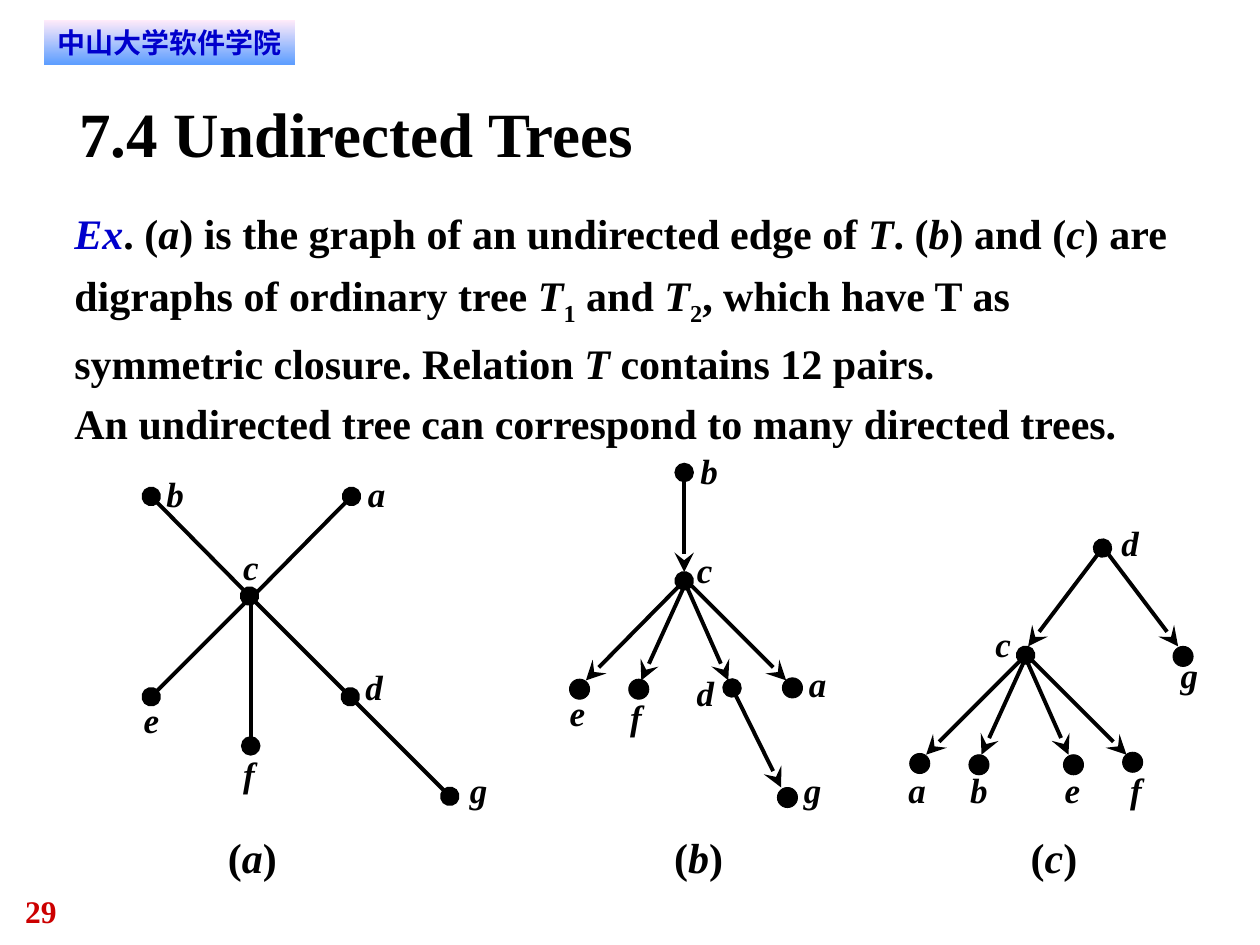
from lxml import etree
from pptx import Presentation
from pptx.dml.color import RGBColor
from pptx.enum import shapes, text
from pptx.oxml.ns import qn
from pptx.util import Inches, Pt

BLACK = RGBColor(0, 0, 0)
BLUE = RGBColor(0, 0, 0xCC)
RED = RGBColor(0xCC, 0, 0)
PINK = RGBColor(0xFF, 0xEB, 0xFA)
SKY = RGBColor(0x5E, 0x9E, 0xFF)
SERIF = "Times New Roman"
SANS = "DejaVu Sans"
DOT = 0.16
LABEL_SIZE = 0.33
LABEL_WIDTH = {"c": 0.12, "e": 0.12, "f": 0.09}
OVAL, ARROW = "oval", "stealth"

TREE_A = {
    "edges": [
        (0.99, 1.24, 1.78, 2.03, None, None),
        (0.99, 1.24, 0.99, 2.42, None, OVAL),
        (0.99, 1.24, 0.2, 2.03, None, OVAL),
        (0.2, 0.44, 0.98, 1.23, OVAL, OVAL),
        (1.79, 0.44, 1.01, 1.23, OVAL, None),
        (1.78, 2.03, 2.57, 2.82, OVAL, OVAL),
    ],
    "labels": {"a": (1.92, 0.25), "b": (0.32, 0.25), "c": (0.93, 0.83), "d": (1.9, 1.78),
               "e": (0.14, 2.04), "f": (0.93, 2.47), "g": (2.73, 2.6)},
    "dots": [],
}
TREE_B = {
    "edges": [
        (0.93, 1.11, 1.28, 1.9, None, ARROW),
        (0.93, 0.25, 0.93, 1.04, OVAL, ARROW),
        (0.95, 1.11, 0.59, 1.9, None, ARROW),
        (0.95, 1.11, 1.74, 1.9, None, ARROW),
        (0.93, 1.11, 0.15, 1.9, OVAL, ARROW),
        (1.31, 1.96, 1.7, 2.75, OVAL, ARROW),
    ],
    "labels": {"a": (1.92, 1.76), "b": (1.06, 0.07), "c": (1.03, 0.85), "d": (1.03, 1.83),
               "e": (0.02, 1.99), "f": (0.5, 2.02), "g": (1.88, 2.6)},
    "dots": [(0.02, 1.89), (0.49, 1.89), (1.71, 1.88), (1.67, 2.75)],
}
TREE_C = {
    "edges": [
        (1.13, 1.2, 1.48, 1.99, None, ARROW),
        (1.75, 0.35, 1.16, 1.13, OVAL, ARROW),
        (1.15, 1.2, 0.79, 1.99, None, ARROW),
        (1.15, 1.2, 1.94, 1.99, None, ARROW),
        (1.14, 1.2, 0.35, 1.99, OVAL, ARROW),
        (1.76, 0.35, 2.35, 1.13, None, ARROW),
    ],
    "labels": {"a": (0.21, 2.1), "b": (0.7, 2.1), "c": (0.9, 0.94), "d": (1.9, 0.14),
               "e": (1.45, 2.1), "f": (1.97, 2.1), "g": (2.37, 1.19)},
    "dots": [(0.22, 1.98), (0.69, 1.99), (1.91, 1.97), (1.44, 1.99), (2.31, 1.13)],
}


def add_rich_runs(p, marked, size, color):
    """Add bold runs, with *italic* and ~subscript~ marks."""
    for i, part in enumerate(marked.split("*")):
        for j, piece in enumerate(part.split("~")):
            if not piece:
                continue
            r = p.add_run()
            r.text = piece
            r.font.name, r.font.size = SERIF, Pt(size)
            r.font.bold, r.font.italic = True, i % 2 == 1
            r.font.color.rgb = color
            if j % 2:
                r.font._element.set("baseline", "-25000")


def add_text(parent, box, lines, size, color=BLACK, wrap=True, spacing=None):
    """Place a text box without insets and return its text frame."""
    tb = parent.add_textbox(*map(Inches, box))
    tf = tb.text_frame
    tf.margin_left = tf.margin_top = tf.margin_right = tf.margin_bottom = 0
    tf.word_wrap = wrap
    tf.auto_size = text.MSO_AUTO_SIZE.SHAPE_TO_FIT_TEXT
    for i, line in enumerate(lines):
        p = tf.add_paragraph() if i else tf.paragraphs[0]
        if spacing:
            p.line_spacing = spacing
        add_rich_runs(p, line, size, color)
    return tf


def add_edge(parent, start, end, head, tail):
    """Draw a straight edge with optional large end marks."""
    c = parent.add_connector(shapes.MSO_CONNECTOR.STRAIGHT, *map(Inches, start + end))
    c.line.color.rgb = BLACK
    c.line.width = Pt(2.25)
    props = c._element.spPr
    ln = props.find(qn("a:ln"))
    for tag, kind in (("a:headEnd", head), ("a:tailEnd", tail)):
        if kind:
            etree.SubElement(ln, qn(tag), type=kind, w="lg", len="lg")
    etree.SubElement(props, qn("a:effectLst"))


def add_dot(parent, left, top):
    """Draw a filled vertex."""
    sp = parent.add_shape(shapes.MSO_SHAPE.OVAL, *map(Inches, (left, top, DOT, DOT)))
    sp.shadow.inherit = False
    sp.fill.solid()
    sp.fill.fore_color.rgb = BLACK
    sp.line.color.rgb = BLACK
    sp.line.width = Pt(0.5)


def add_tree(s, left, top, tree):
    """Draw one grouped tree from its top left corner."""
    parent = s.shapes.add_group_shape().shapes
    for x1, y1, x2, y2, head, tail in tree["edges"]:
        add_edge(parent, (left + x1, top + y1), (left + x2, top + y2), head, tail)
    for name, (x, y) in tree["labels"].items():
        box = (left + x, top + y, LABEL_WIDTH.get(name, 0.14), LABEL_SIZE)
        add_text(parent, box, [f"*{name}*"], 20, wrap=False)
    for x, y in tree["dots"]:
        add_dot(parent, left + x, top + y)


def add_banner(s, box):
    """Place the school name on a gradient band."""
    sp = s.shapes.add_shape(shapes.MSO_SHAPE.RECTANGLE, *map(Inches, box))
    sp.shadow.inherit = False
    sp.line.fill.background()
    sp.fill.gradient()
    sp.fill.gradient_angle = 270
    for stop, color, position in zip(sp.fill.gradient_stops, (PINK, SKY), (0, 1)):
        stop.color.rgb = color
        stop.position = position
    tf = sp.text_frame
    tf.margin_left = tf.margin_right = Inches(0.08)
    tf.margin_top = tf.margin_bottom = Inches(0.04)
    tf.vertical_anchor = text.MSO_ANCHOR.TOP
    tf.text = "中山大学软件学院"
    p = tf.paragraphs[0]
    p.alignment = text.PP_ALIGN.CENTER
    r = p.runs[0]
    r.font.name, r.font.size, r.font.bold = SANS, Pt(16), True
    r.font.color.rgb = BLUE
    etree.SubElement(r.font._element, qn("a:ea"), typeface=SANS)


def add_body(s, box):
    """Place the example text with its blue lead word."""
    tf = add_text(s.shapes, box, [
        "*Ex*. (*a*) is the graph of an undirected edge of *T*. (*b*) and (*c*) are "
        "digraphs of ordinary tree *T*~1~ and *T*~2~, which have T as symmetric closure. "
        "Relation *T* contains 12 pairs.",
        "An undirected tree can correspond to many directed trees.",
    ], 24, spacing=1.2)
    tf.paragraphs[0].runs[0].font.color.rgb = BLUE


def main():
    """Build and save the slide."""
    prs = Presentation()
    prs.slide_width, prs.slide_height = Inches(10), Inches(7.5)
    s = prs.slides.add_slide(prs.slide_layouts[6])
    add_text(s.shapes, (0.2, 7.08, 0.75, 0.3), ["29"], 18, RED)
    add_banner(s, (0.35, 0.16, 1.99, 0.35))
    add_text(s.shapes, (0.63, 0.75, 8.75, 0.6), ["7.4 Undirected Trees"], 36)
    add_body(s, (0.59, 1.57, 8.95, 1.99))
    add_tree(s, 1, 3.5, TREE_A)
    add_tree(s, 4.5, 3.5, TREE_B)
    add_tree(s, 7, 4, TREE_C)
    for name, left, width in (("a", 1.81, 0.39), ("b", 5.35, 0.39), ("c", 8.18, 0.37)):
        add_text(s.shapes, (left, 6.6, width, 0.4), [f"(*{name}*)"], 24, wrap=False)
    prs.save("out.pptx")


if __name__ == "__main__":
    main()
